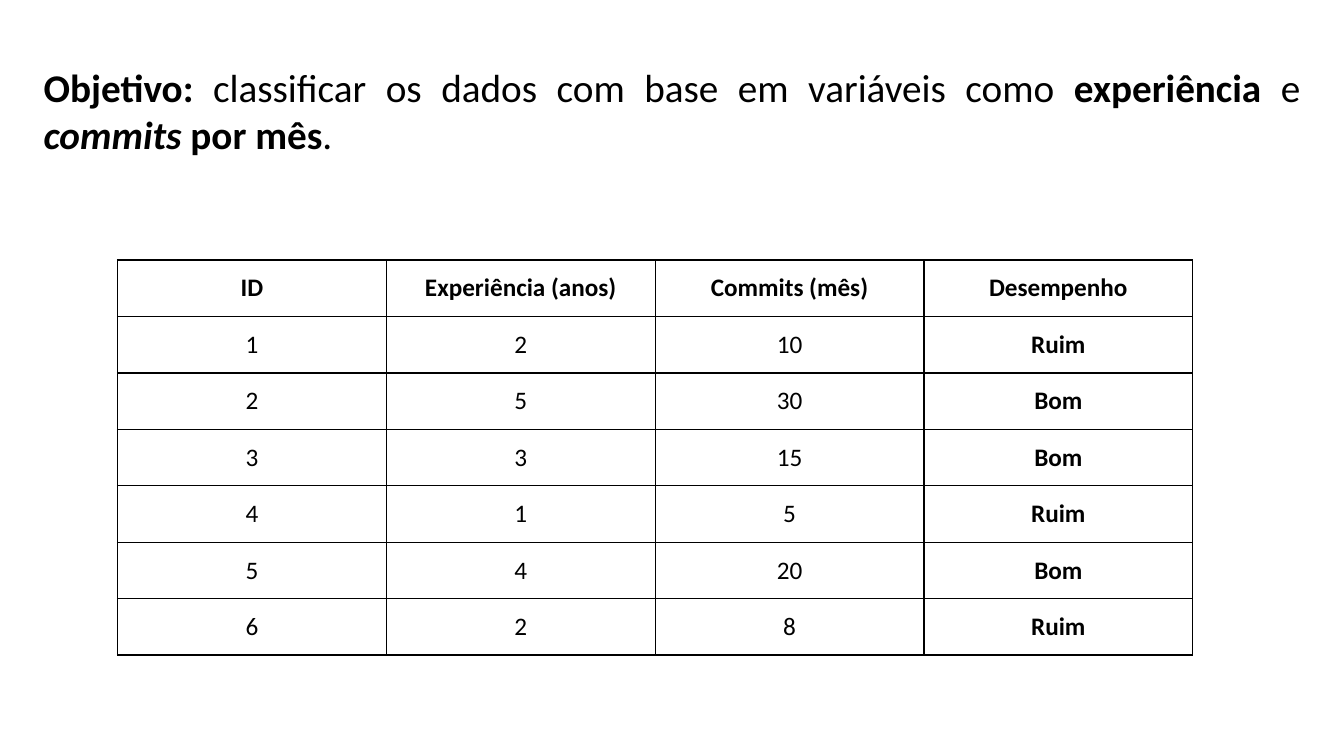
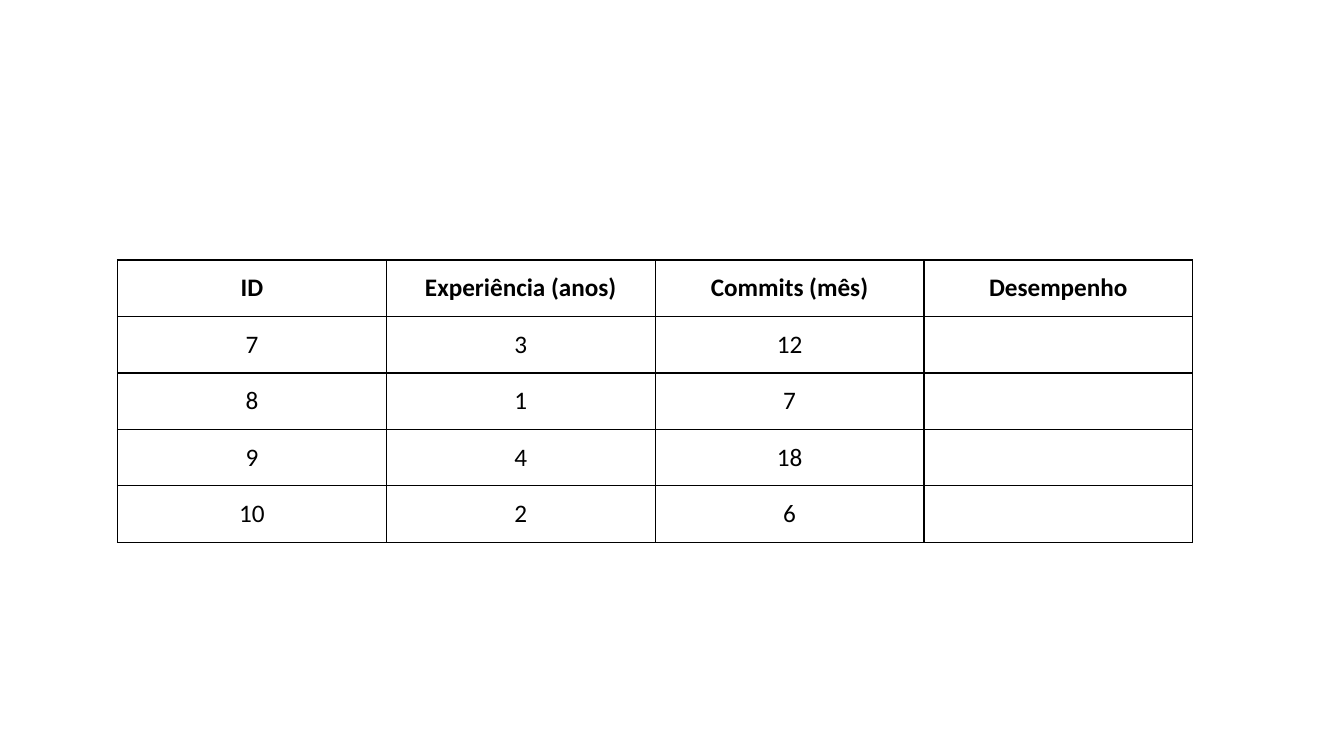
from dataclasses import dataclass

from lxml.etree import SubElement
from pptx import Presentation
from pptx.dml.color import RGBColor
from pptx.enum.text import MSO_ANCHOR as Anchor, MSO_AUTO_SIZE as AutoSize, PP_ALIGN as Align
from pptx.oxml.ns import qn
from pptx.util import Emu, Pt

PX = 914400 // 150


@dataclass(frozen=True)
class Theme:
    font: str = "Calibri"
    ink: str = "000000"
    paper: str = "FFFFFF"
    title_size: int = 28
    table_size: int = 18
    border_width: int = 1


class Deck:
    TITLE_ONLY, BLANK = 5, 6

    def __init__(self, theme, width, height):
        self.theme = theme
        self.presentation = Presentation()
        self.presentation.slide_width = Emu(width * PX)
        self.presentation.slide_height = Emu(height * PX)
        self.slide = None

    def add_slide(self, layout):
        layouts = self.presentation.slide_layouts
        self.slide = self.presentation.slides.add_slide(layouts[layout])
        background = self.slide.background.fill
        background.solid()
        background.fore_color.rgb = RGBColor.from_string(self.theme.paper)

    def add_run(self, paragraph, text, size, bold=False, italic=False):
        run = paragraph.add_run()
        run.text = text
        font = run.font
        font.name, font.size = self.theme.font, Pt(size)
        font.bold, font.italic = bold, italic
        font.color.rgb = RGBColor.from_string(self.theme.ink)

    def add_title(self, left, top, width, height, runs):
        title = self.slide.shapes.title
        title.left, title.top = Emu(left * PX), Emu(top * PX)
        title.width, title.height = Emu(width * PX), Emu(height * PX)
        frame = title.text_frame
        frame.word_wrap = True
        frame.auto_size = AutoSize.SHAPE_TO_FIT_TEXT
        frame.vertical_anchor = Anchor.TOP
        paragraph = frame.paragraphs[0]
        paragraph.alignment = Align.JUSTIFY
        for text, *style in runs:
            self.add_run(paragraph, text, self.theme.title_size, *style)

    def add_borders(self, cell):
        properties = cell._tc.get_or_add_tcPr()
        for side in ("lnL", "lnR", "lnT", "lnB"):
            line = SubElement(properties, qn(f"a:{side}"), w=str(Pt(self.theme.border_width)))
            fill = SubElement(line, qn("a:solidFill"))
            SubElement(fill, qn("a:srgbClr"), val=self.theme.ink)

    def add_table(self, left, top, column_width, row_height, header, records):
        rows = [header, *records]
        table = self.slide.shapes.add_table(
            len(rows), len(header), Emu(left * PX), Emu(top * PX),
            Emu(column_width * len(header) * PX), Emu(row_height * len(rows) * PX),
        ).table
        table.horz_banding = False
        for row_index, row in enumerate(rows):
            for column_index, text in enumerate(row):
                cell = table.cell(row_index, column_index)
                cell.vertical_anchor = Anchor.MIDDLE
                self.add_borders(cell)
                cell.fill.solid()
                cell.fill.fore_color.rgb = RGBColor.from_string(self.theme.paper)
                paragraph = cell.text_frame.paragraphs[0]
                paragraph.alignment = Align.CENTER
                if text:
                    bold = row_index == 0 or column_index == len(header) - 1
                    self.add_run(paragraph, str(text), self.theme.table_size, bold)

    def add_developers(self, records):
        header = ("ID", "Experiência (anos)", "Commits (mês)", "Desempenho")
        self.add_table(175, 387, 400, 84, header, records)


def main():
    deck = Deck(Theme(), 2000, 1125)

    deck.add_slide(Deck.TITLE_ONLY)
    deck.add_title(50, 87, 1900, 156, [
        ("Objetivo: ", True),
        ("classificar os dados com base em variáveis como ",),
        ("experiência", True),
        (" e ",),
        ("commits", True, True),
        (" por mês", True),
        (".",),
    ])
    deck.add_developers([
        (1, 2, 10, "Ruim"),
        (2, 5, 30, "Bom"),
        (3, 3, 15, "Bom"),
        (4, 1, 5, "Ruim"),
        (5, 4, 20, "Bom"),
        (6, 2, 8, "Ruim"),
    ])

    deck.add_slide(Deck.BLANK)
    deck.add_developers([
        (7, 3, 12, ""),
        (8, 1, 7, ""),
        (9, 4, 18, ""),
        (10, 2, 6, ""),
    ])

    deck.presentation.save("out.pptx")


if __name__ == "__main__":
    main()
